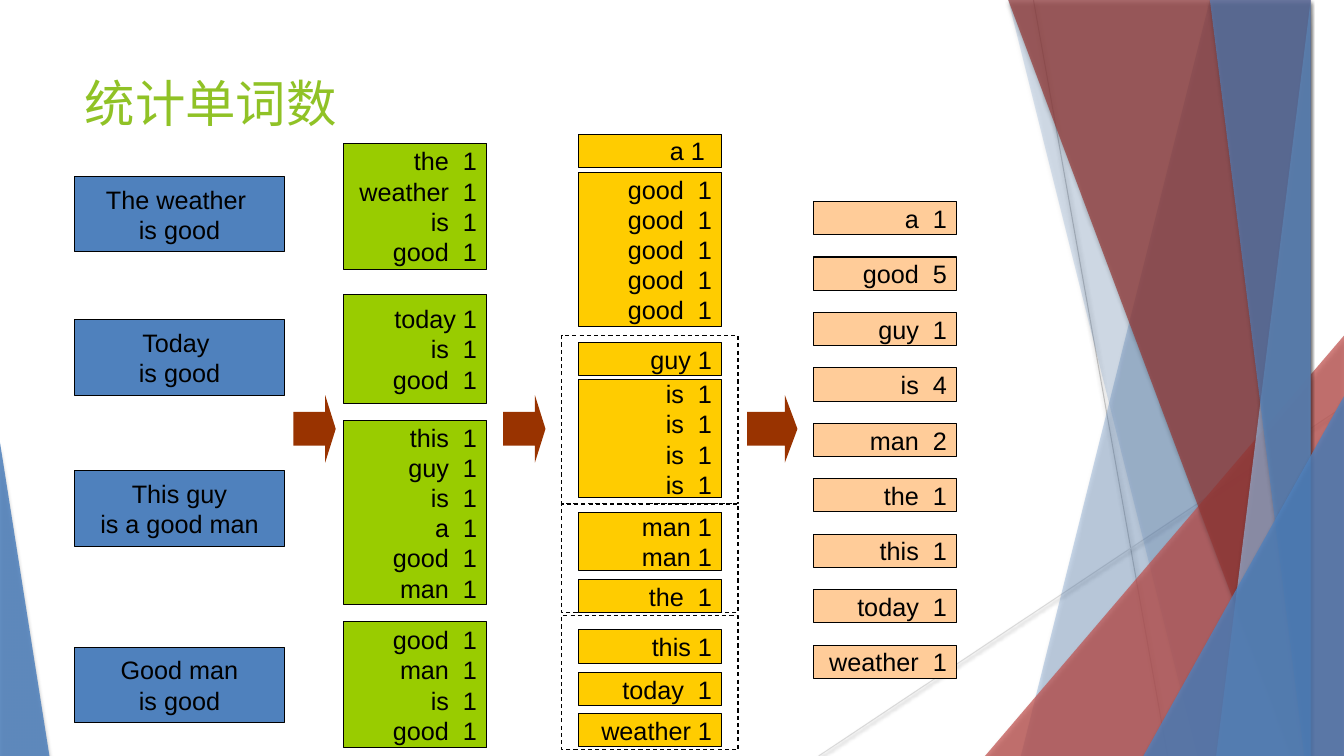
from dataclasses import dataclass
from typing import NamedTuple

from lxml import etree
from pptx import Presentation
from pptx.dml.color import RGBColor
from pptx.enum import dml, shapes, text
from pptx.oxml import ns
from pptx.util import Inches, Pt


@dataclass(frozen=True)
class Theme:
    title: str = "90C226"
    ink: str = "000000"
    blue: str = "4F81BD"
    pale_blue: str = "95B3D7"
    red: str = "C0504D"
    dark_red: str = "953735"
    map_green: str = "99CC00"
    group_yellow: str = "FFCC00"
    result_peach: str = "FFCC99"
    arrow: str = "993300"
    title_font: str = "Roboto"
    body_font: str = "Arial"
    title_size: int = 36
    body_size: int = 18
    outline: float = 0.75


class Line(NamedTuple):
    x1: float
    y1: float
    x2: float
    y2: float
    color: str


class Ribbon(NamedTuple):
    """Band from a slanted left edge to the right side of the slide."""
    top_x: float
    bottom_x: float
    color: str
    alpha: int


class Peak(NamedTuple):
    """Right triangle standing on the bottom of the slide."""
    left: float
    width: float
    height: float
    apex: int
    color: str
    alpha: int


class Card(NamedTuple):
    top: float
    height: float
    words: str


class Column(NamedTuple):
    left: float
    width: float
    color: str
    align: text.PP_ALIGN
    cards: list[Card]


T = Theme()
WIDTH, HEIGHT = 13.33, 7.5
CENTER, RIGHT = text.PP_ALIGN.CENTER, text.PP_ALIGN.RIGHT

# Slide decoration, back to front
LINES = [Line(10.25, 0, 11.58, 7.5, "BFBFBF"), Line(13.33, 4.03, 8.12, 7.5, "D9D9D9")]
FACETS = [
    Ribbon(12.28, 10.04, T.blue, 30),
    Ribbon(10.5, 11.82, T.blue, 20),
    Peak(9.77, 3.56, 4.17, 1, T.red, 72),
    Ribbon(10.21, 12.91, T.dark_red, 70),
    Ribbon(13.03, 11.92, T.pale_blue, 70),
    Ribbon(11.96, 13.18, T.blue, 65),
    Peak(11.34, 1.99, 3.57, 1, T.blue, 80),
    Peak(0, 0.49, 3.11, 0, T.blue, 85),
]

# Word count stages: sentences, mapped pairs, grouped pairs, totals
COUNTS = {"a": 1, "good": 5, "guy": 1, "is": 4, "man": 2,
          "the": 1, "this": 1, "today": 1, "weather": 1}
COLUMNS = [
    Column(0.74, 2.08, T.blue, CENTER, [
        Card(1.75, 0.75, "The weather \nis good"),
        Card(3.17, 0.75, "Today \nis good"),
        Card(4.67, 0.75, "This guy\nis a good man"),
        Card(6.42, 0.75, "Good man\nis good")]),
    Column(3.41, 1.42, T.map_green, RIGHT, [
        Card(1.42, 1.25, "the  1\nweather  1\nis  1\ngood  1"),
        Card(2.92, 1.08, "today 1\nis  1\ngood  1"),
        Card(4.17, 1.83, "this  1\nguy  1\nis  1\na  1\ngood  1\nman  1"),
        Card(6.17, 1.25, "good  1\nman  1\nis  1\ngood  1")]),
    Column(5.74, 1.42, T.group_yellow, RIGHT, [
        Card(1.33, 0.33, "a 1 "),
        Card(1.71, 1.53, "\n".join(["good  1"] * 5)),
        Card(3.4, 0.33, "guy 1"),
        Card(3.77, 1.17, "\n".join(["is  1"] * 4)),
        Card(5.08, 0.58, "man 1\nman 1"),
        Card(5.75, 0.33, "the  1"),
        Card(6.25, 0.33, "this 1"),
        Card(6.67, 0.33, "today  1"),
        Card(7.08, 0.33, "weather 1")]),
    Column(8.07, 1.42, T.result_peach, RIGHT, [
        Card(2 + 0.55 * i, 0.33, f"{word}  {count}")
        for i, (word, count) in enumerate(COUNTS.items())]),
]
ARROWS = [(2.91, 0.42), (4.99, 0.42), (7.41, 0.5)]  # left, width
PARTITIONS = [(3.33, 1.67), (5, 1.08), (6.11, 1.33)]  # top, height


def rgb(color: str) -> RGBColor:
    return RGBColor.from_string(color)


def add_shadow(sp, blur: float, dist: float, alpha: int) -> None:
    effects = etree.SubElement(sp._element.spPr, ns.qn("a:effectLst"))
    shadow = etree.SubElement(effects, ns.qn("a:outerShdw"), blurRad=str(Pt(blur)),
                              dist=str(Pt(dist)), dir="5400000", rotWithShape="0")
    color = etree.SubElement(shadow, ns.qn("a:srgbClr"), val=T.ink)
    etree.SubElement(color, ns.qn("a:alpha"), val=str(alpha * 1000))


def set_text(tf, content: str, *, font: str, size: int, color: str,
             align: text.PP_ALIGN, anchor: text.MSO_ANCHOR, wrap: bool) -> None:
    tf.text = content
    tf.word_wrap = wrap
    tf.auto_size = text.MSO_AUTO_SIZE.NONE
    tf.vertical_anchor = anchor
    for p in tf.paragraphs:
        p.alignment = align
        for r in p.runs:
            r.font.name, r.font.size = font, Pt(size)
            r.font.color.rgb = rgb(color)


def add_block(slide, kind, left: float, top: float, width: float, height: float,
              fill: str | None = None, outlined: bool = False):
    sp = slide.shapes.add_shape(kind, Inches(left), Inches(top), Inches(width), Inches(height))
    sp.shadow.inherit = False
    if fill:
        sp.fill.solid()
        sp.fill.fore_color.rgb = rgb(fill)
    else:
        sp.fill.background()
    if outlined:
        sp.line.color.rgb = rgb(T.ink)
        sp.line.width = Pt(T.outline)
    else:
        sp.line.fill.background()
    return sp


def add_line(slide, line: Line) -> None:
    sp = slide.shapes.add_connector(shapes.MSO_CONNECTOR.STRAIGHT, Inches(line.x1),
                                    Inches(line.y1), Inches(line.x2), Inches(line.y2))
    sp.line.color.rgb = rgb(line.color)
    sp.line.width = Pt(T.outline)
    add_shadow(sp, 3.1, 1.6, 38)


def add_facet(slide, facet: Ribbon | Peak) -> None:
    if isinstance(facet, Ribbon):
        outline = slide.shapes.build_freeform(facet.top_x, 0, scale=Inches(1))
        outline.add_line_segments([(WIDTH, 0), (WIDTH, HEIGHT), (facet.bottom_x, HEIGHT)])
        sp = outline.convert_to_shape()
    else:
        sp = add_block(slide, shapes.MSO_SHAPE.ISOSCELES_TRIANGLE, facet.left,
                       HEIGHT - facet.height, facet.width, facet.height)
        sp.adjustments[0] = facet.apex
        sp.shadow.inherit = True
    sp.fill.solid()
    sp.fill.fore_color.rgb = rgb(facet.color)
    color = sp._element.spPr.find(".//" + ns.qn("a:srgbClr"))
    etree.SubElement(color, ns.qn("a:alpha"), val=str(facet.alpha * 1000))
    sp.line.fill.background()
    add_shadow(sp, 3, 2, 35)


def main() -> None:
    prs = Presentation()
    prs.slide_width, prs.slide_height = Inches(WIDTH), Inches(HEIGHT)
    slide = prs.slides.add_slide(prs.slide_layouts[5])

    for line in LINES:
        add_line(slide, line)
    for facet in FACETS:
        add_facet(slide, facet)

    # Title
    title = slide.shapes.title
    title.left, title.top, title.width, title.height = map(Inches, (0.74, 0.67, 9.4, 0.88))
    set_text(title.text_frame, "统计单词数", font=T.title_font, size=T.title_size, color=T.title,
             align=text.PP_ALIGN.LEFT, anchor=text.MSO_ANCHOR.TOP, wrap=True)

    # Stages
    for col in COLUMNS:
        for card in col.cards:
            sp = add_block(slide, shapes.MSO_SHAPE.RECTANGLE, col.left, card.top,
                           col.width, card.height, col.color, outlined=True)
            set_text(sp.text_frame, card.words, font=T.body_font, size=T.body_size, color=T.ink,
                     align=col.align, anchor=text.MSO_ANCHOR.MIDDLE, wrap=False)

    # Arrows between stages
    for left, width in ARROWS:
        sp = add_block(slide, shapes.MSO_SHAPE.RIGHT_ARROW, left, 3.92, width, 0.67, T.arrow)
        sp.adjustments[1] = 0.25

    # Dashed partitions around the groups
    for top, height in PARTITIONS:
        sp = add_block(slide, shapes.MSO_SHAPE.RECTANGLE, 5.57, top, 1.75, height, outlined=True)
        sp.line.dash_style = dml.MSO_LINE.DASH

    prs.save("out.pptx")


if __name__ == "__main__":
    main()
